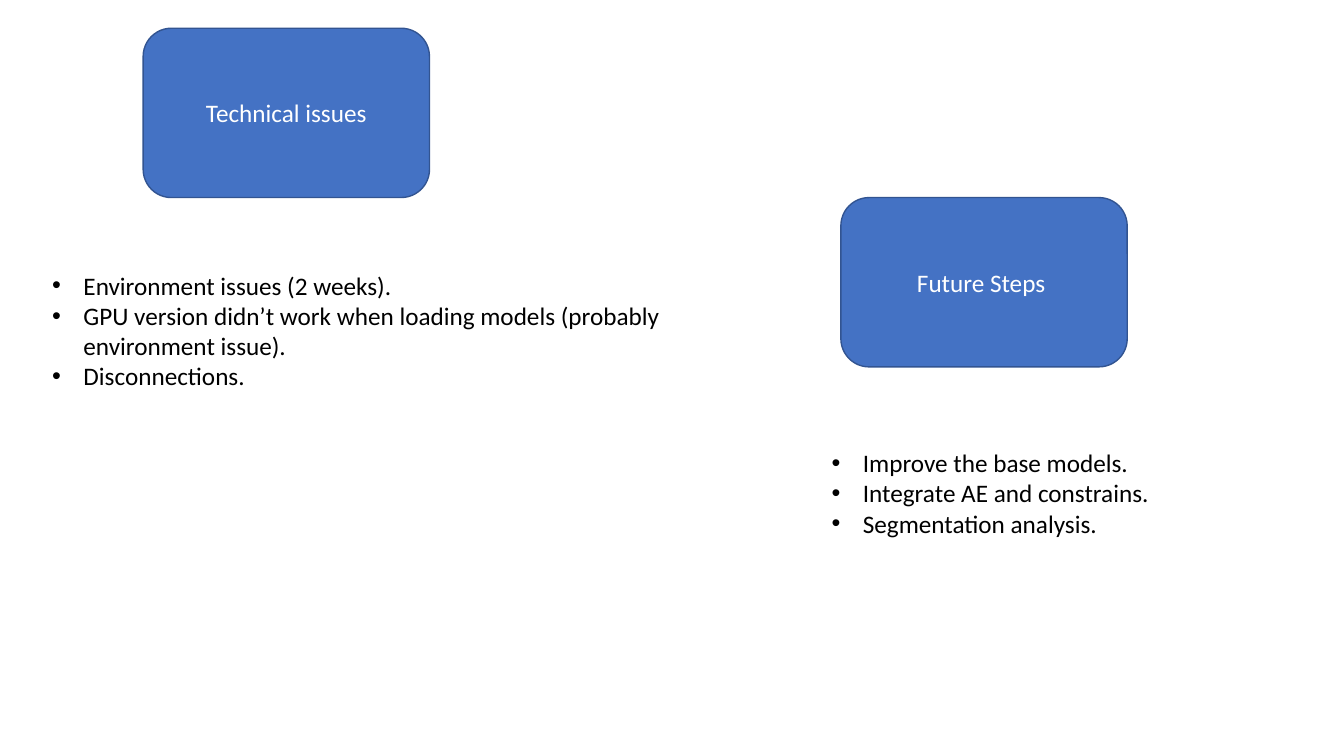
from dataclasses import dataclass

import pptx
import pptx.dml.color
import pptx.enum.shapes
import pptx.enum.text
import pptx.oxml.ns
import pptx.util
from lxml import etree
from pptx.util import Inches

COLORS = {"fill": "4472C4", "line": "325491", "title": "FFFFFF", "body": "000000"}
FONT = {"name": "Calibri", "size": pptx.util.Pt(18)}
TITLE_FRAME = {"word_wrap": True, "vertical_anchor": pptx.enum.text.MSO_ANCHOR.MIDDLE}
BULLET_FRAME = {"word_wrap": True, "auto_size": pptx.enum.text.MSO_AUTO_SIZE.SHAPE_TO_FIT_TEXT}
TITLE_SIZE = (2.84, 1.68)
BULLETS_WIDTH = 6.93
BULLET_INDENT = Inches(0.31)


@dataclass
class Topic:
    title: str
    title_at: tuple[float, float]
    bullets: list[str]
    bullets_at: tuple[float, float]
    bullets_height: float


TOPICS = [
    Topic("Technical issues", (1.42, 0.28),
          ["Environment issues (2 weeks).",
           "GPU version didn’t work when loading models (probably environment issue).",
           "Disconnections."],
          (0.42, 2.63), 1.62),
    Topic("Future Steps ", (8.34, 1.96),
          ["Improve the base models.",
           "Integrate AE and constrains.",
           "Segmentation analysis."],
          (8.15, 4.39), 1.31),
]


def rgb(name: str) -> pptx.dml.color.RGBColor:
    return pptx.dml.color.RGBColor.from_string(COLORS[name])


def set_attributes(target: object, values: dict) -> None:
    for name, value in values.items():
        setattr(target, name, value)


def add_run(p, text: str, color: str) -> None:
    r = p.add_run()
    r.text = text
    set_attributes(r.font, FONT)
    r.font.color.rgb = rgb(color)


def set_bullet(p) -> None:
    """Give the paragraph a round bullet with a hanging indent."""
    pPr = p._p.get_or_add_pPr()
    pPr.set("marL", str(BULLET_INDENT))
    pPr.set("indent", str(-BULLET_INDENT))
    etree.SubElement(pPr, pptx.oxml.ns.qn("a:buFont")).set("typeface", "Arial")
    etree.SubElement(pPr, pptx.oxml.ns.qn("a:buChar")).set("char", "•")


def add_title(s, topic: Topic) -> None:
    sp = s.shapes.add_shape(pptx.enum.shapes.MSO_SHAPE.ROUNDED_RECTANGLE,
                            *map(Inches, topic.title_at + TITLE_SIZE))
    sp.shadow.inherit = False
    sp.fill.solid()
    sp.fill.fore_color.rgb = rgb("fill")
    sp.line.color.rgb = rgb("line")
    sp.line.width = pptx.util.Pt(1)
    tf = sp.text_frame
    set_attributes(tf, TITLE_FRAME)
    p = tf.paragraphs[0]
    p.alignment = pptx.enum.text.PP_ALIGN.CENTER
    add_run(p, topic.title, "title")


def add_bullets(s, topic: Topic) -> None:
    size = (BULLETS_WIDTH, topic.bullets_height)
    tf = s.shapes.add_textbox(*map(Inches, topic.bullets_at + size)).text_frame
    set_attributes(tf, BULLET_FRAME)
    for i, text in enumerate(topic.bullets):
        p = tf.add_paragraph() if i else tf.paragraphs[0]
        set_bullet(p)
        add_run(p, text, "body")


def main() -> None:
    prs = pptx.Presentation()
    prs.slide_width, prs.slide_height = Inches(13.33), Inches(7.5)
    s = prs.slides.add_slide(prs.slide_layouts[6])
    for topic in TOPICS:
        add_title(s, topic)
        add_bullets(s, topic)
    prs.save("out.pptx")


if __name__ == "__main__":
    main()
